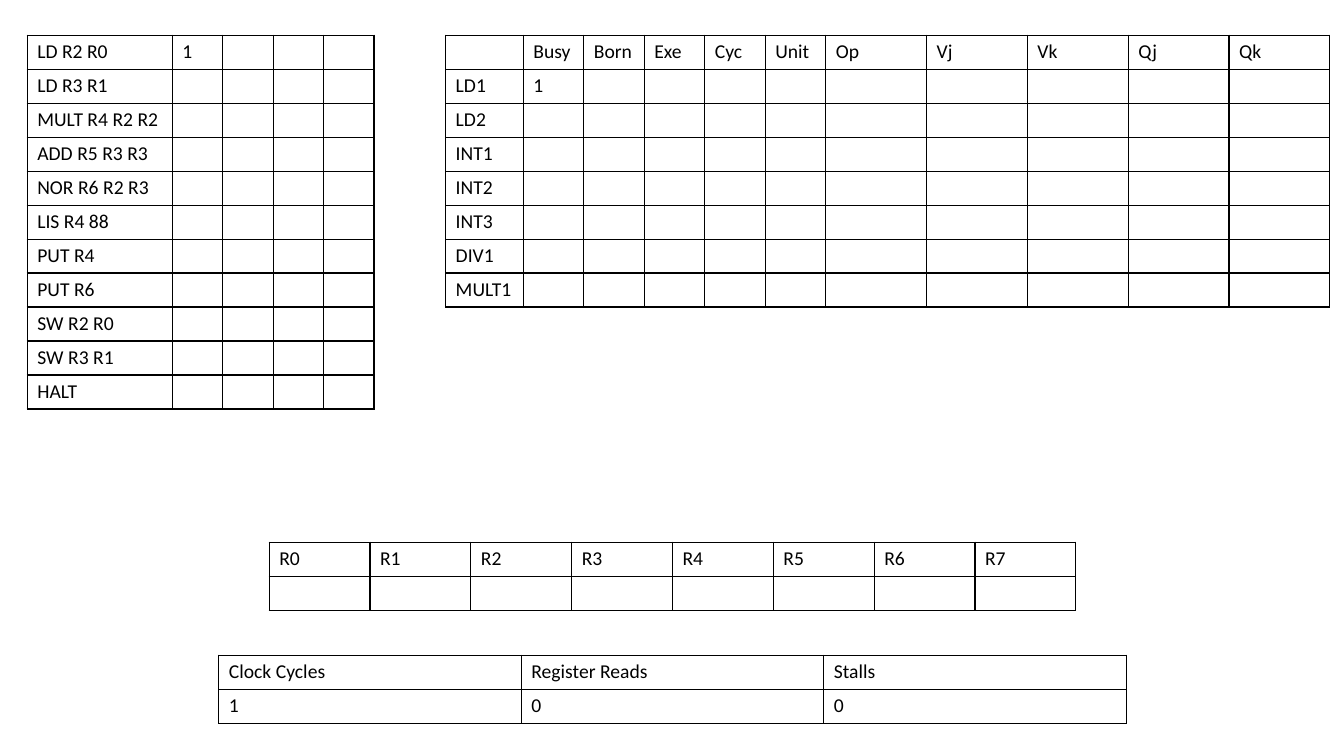
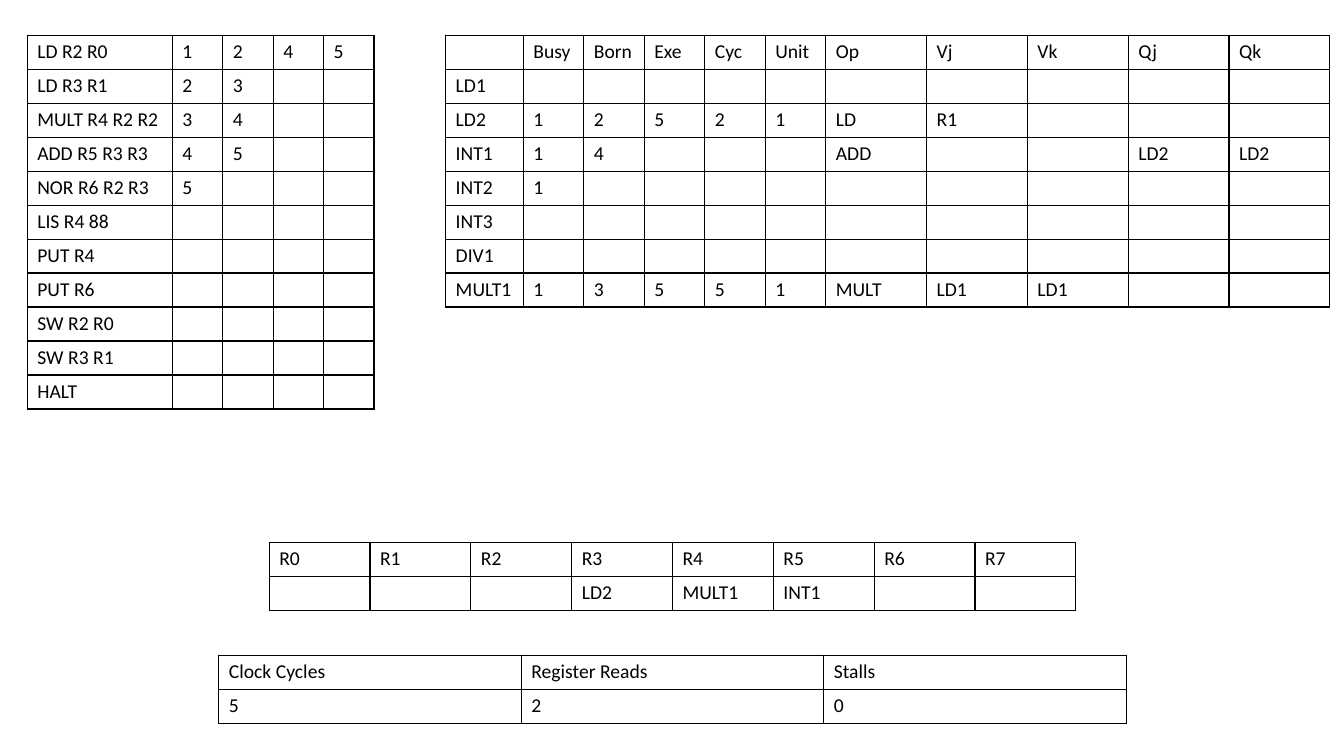
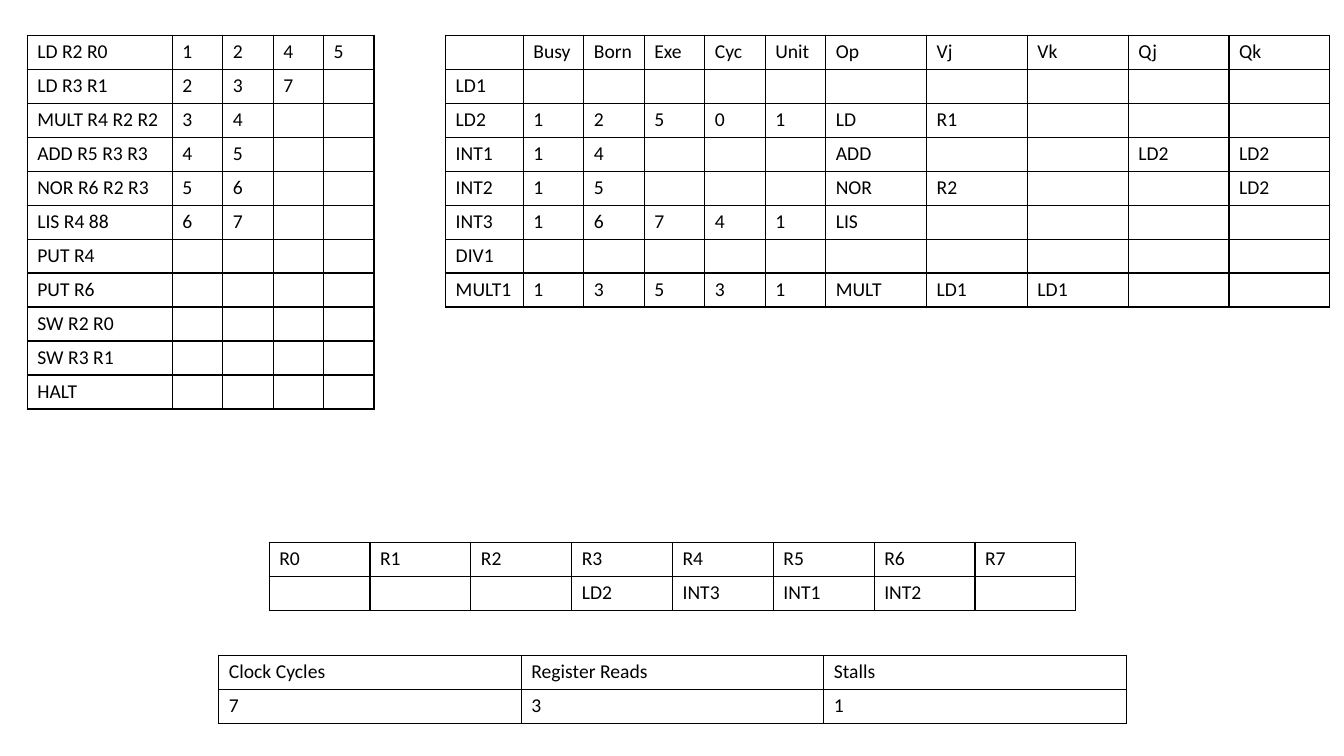
from dataclasses import dataclass

from lxml.etree import SubElement
from pptx import Presentation
from pptx.dml.color import RGBColor
from pptx.oxml.ns import qn
from pptx.util import Inches, Pt


@dataclass(frozen=True)
class Theme:
    font: str = "Calibri"
    size: int = 14
    ink: str = "000000"
    line: int = 1
    row: float = 0.3
    pitch: float = 1 / 3


LOOK = Theme()
TEXT = {"name": LOOK.font, "size": Pt(LOOK.size), "bold": False}

# Labels that every slide shares
CODE = ["LD R2 R0", "LD R3 R1", "MULT R4 R2 R2", "ADD R5 R3 R3",
        "NOR R6 R2 R3", "LIS R4 88", "PUT R4", "PUT R6",
        "SW R2 R0", "SW R3 R1", "HALT"]
UNITS = ["LD1", "LD2", "INT1", "INT2", "INT3", "DIV1", "MULT1"]
HEADS = ["Busy", "Born", "Exe", "Cyc", "Unit", "Op", "Vj", "Vk", "Qj", "Qk"]
REGS = [f"R{n}" for n in range(8)]
STATS = ["Clock Cycles", "Register Reads", "Stalls"]

# Table places: left, top, column widths
CODE_BOX = (0.27, 0.35, [1.44] + [0.5] * 4)
UNIT_BOX = (4.42, 0.35, [0.77] + [0.6] * 5 + [1] * 5)
REG_BOX = (2.67, 5.38, [1] * 8)
STAT_BOX = (2.17, 6.5, [3] * 3)

# State of the machine on each slide
ADD_ROW = ["1", "4", "", "", "", "ADD", "", "", "LD2", "LD2"]
STATES = [
    {"steps": ["1"],
     "units": {"LD1": ["1"]},
     "regs": {},
     "stats": ["1", "0", "0"]},
    {"steps": ["1245", "23", "34", "45", "5"],
     "units": {"LD2": ["1", "2", "5", "2", "1", "LD", "R1"],
               "INT1": ADD_ROW,
               "INT2": ["1"],
               "MULT1": ["1", "3", "5", "5", "1", "MULT", "LD1", "LD1"]},
     "regs": {"R3": "LD2", "R4": "MULT1", "R5": "INT1"},
     "stats": ["5", "2", "0"]},
    {"steps": ["1245", "237", "34", "45", "56", "67"],
     "units": {"LD2": ["1", "2", "5", "0", "1", "LD", "R1"],
               "INT1": ADD_ROW,
               "INT2": ["1", "5", "", "", "", "NOR", "R2", "", "", "LD2"],
               "INT3": ["1", "6", "7", "4", "1", "LIS"],
               "MULT1": ["1", "3", "5", "3", "1", "MULT", "LD1", "LD1"]},
     "regs": {"R3": "LD2", "R4": "INT3", "R5": "INT1", "R6": "INT2"},
     "stats": ["7", "3", "1"]},
]


def frame(cell):
    """Draw all four borders of a cell."""
    props = cell._tc.get_or_add_tcPr()
    for n, side in enumerate(("lnL", "lnR", "lnT", "lnB")):
        edge = props.makeelement(qn(f"a:{side}"), {"w": str(Pt(LOOK.line))})
        fill = SubElement(edge, qn("a:solidFill"))
        SubElement(fill, qn("a:srgbClr"), val=LOOK.ink)
        props.insert(n, edge)


def write(cell, text):
    """Fill one cell; an empty one keeps the type size too."""
    cell.fill.background()
    frame(cell)
    para = cell.text_frame.paragraphs[0]
    if not text:
        SubElement(para._p, qn("a:endParaRPr"), sz=str(LOOK.size * 100))
        return
    run = para.add_run()
    run.text = text
    for key, value in TEXT.items():
        setattr(run.font, key, value)
    run.font.color.rgb = RGBColor.from_string(LOOK.ink)


def grid(slide, box, rows):
    """Place a ruled table; short rows are padded with empty cells."""
    left, top, widths = box
    tall = Inches(LOOK.pitch * len(rows))
    shape = slide.shapes.add_table(
        len(rows), len(widths), Inches(left), Inches(top),
        Inches(sum(widths)), tall)
    table = shape.table
    table.first_row = table.horz_banding = False
    for col, width in zip(table.columns, widths):
        col.width = Inches(width)
    for r, row in enumerate(rows):
        table.rows[r].height = Inches(LOOK.row)
        for c in range(len(widths)):
            write(table.cell(r, c), row[c] if c < len(row) else "")
    shape.height = tall


def build(slide, state):
    """Lay out the four tables of one machine state."""
    steps = dict(zip(CODE, state["steps"]))
    # Instruction list with its step cycles
    grid(slide, CODE_BOX, [[op, *steps.get(op, "")] for op in CODE])
    # Function units
    units = [[unit, *state["units"].get(unit, [])] for unit in UNITS]
    grid(slide, UNIT_BOX, [["", *HEADS], *units])
    # Register tags
    grid(slide, REG_BOX, [REGS, [state["regs"].get(r, "") for r in REGS]])
    # Totals
    grid(slide, STAT_BOX, [STATS, state["stats"]])


def main():
    deck = Presentation()
    deck.slide_width, deck.slide_height = Inches(13.33), Inches(7.5)
    for state in STATES:
        build(deck.slides.add_slide(deck.slide_layouts[6]), state)
    deck.save("out.pptx")


if __name__ == "__main__":
    main()
